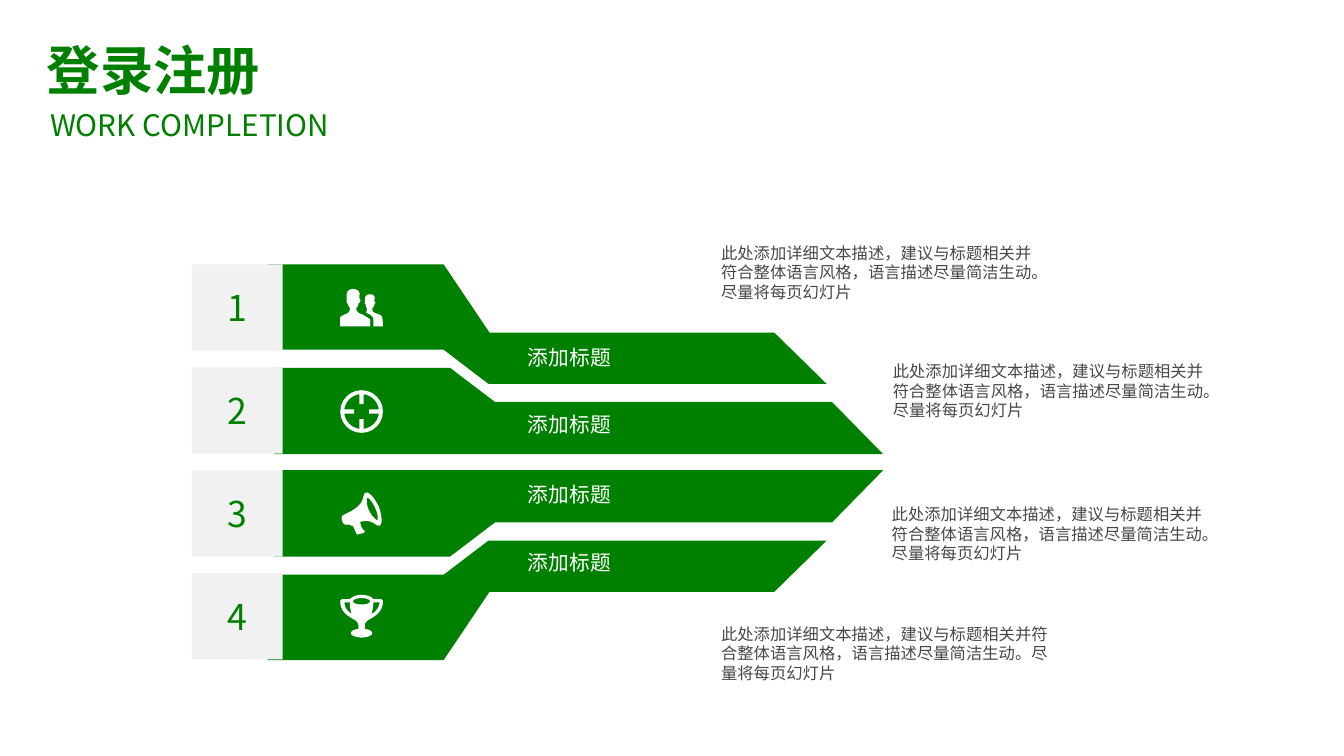
import lxml.etree
import pptx
import pptx.dml.color
import pptx.enum.shapes
import pptx.enum.text
import pptx.oxml.ns
import pptx.util

Inches = pptx.util.Inches
SHAPE = pptx.enum.shapes.MSO_SHAPE
ALIGN = pptx.enum.text.PP_ALIGN
ANCHOR = pptx.enum.text.MSO_ANCHOR

FONT = "Noto Sans CJK SC"
GREEN = "008000"
GREY = "F1F1F1"
WHITE = "FFFFFF"
DARK = "474747"
MIDDLE = 4.335
ICON_LEFT = 3.19

DESCRIPTION = "此处添加详细文本描述，建议与标题相关并符合整体语言风格，语言描述尽量简洁生动。尽量将每页幻灯片"
OUTER_ARROW = [(2.51, 2.48), (4.16, 2.48), (4.59, 3.12), (7.26, 3.12),
               (7.75, 3.6), (4.58, 3.6), (4.16, 3.28), (2.51, 3.28)]
INNER_ARROW = [(2.57, 3.45), (4.22, 3.45), (4.64, 3.77), (7.8, 3.77),
               (8.28, 4.26), (2.57, 4.26)]

PEOPLE = """
M 21 24 C 17 23 15 21 15 18 C 15 17 17 17 17 14 C 17 13 18 14 19 11
C 19 10 18 9 18 9 C 18 9 18 8 18 6 C 19 4 17 0 12 0 C 7 0 6 4 6 6
C 6 8 6 9 6 9 C 6 9 6 10 6 11 C 6 14 7 13 7 14 C 8 17 9 17 9 18
C 9 21 8 23 4 24 C 2 25 0 26 0 27 L 0 35 L 28 35 L 28 29 C 28 28 24 26 21 24
M 40 35 C 40 35 40 27 39 26 C 39 25 37 24 34 23 C 31 22 30 21 30 19
C 30 17 31 18 32 15 C 32 14 32 15 33 13 C 33 12 32 12 32 12
C 32 12 32 11 32 10 C 33 8 32 5 28 5 C 24 5 23 8 23 10 L 23 13
C 23 15 24 14 24 15 C 24 18 25 17 25 19 C 25 20 25 21 24 22
C 30 25 31 26 31 29 L 31 35
"""
MEGAPHONE = """
M 35 26 C 34 26 30 23 27 17 C 24 11 25 5 25 5 C 26 4 30 8 33 15 C 36 21 35 26 35 26
M 36 13 C 32 5 27 -1 24 0 C 19 2 27 11 3 21 C 1 22 1 25 2 27
C 2 29 5 31 7 30 C 8 30 9 30 9 30 C 10 32 12 30 12 32 C 13 33 14 36 15 38
C 15 39 17 40 17 39 C 18 39 21 38 22 38 C 23 37 23 36 23 36
C 22 35 21 35 21 34 C 20 33 19 30 19 29 C 18 28 19 27 21 27
C 31 25 33 32 37 31 C 40 29 39 21 36 13
"""
TROPHY = """
M 4 7 L 9 7 C 9 12 10 16 11 18 C 8 16 4 13 4 7
M 20 3 C 26 3 28 5 28 6 C 28 7 26 9 20 9 C 14 9 12 7 12 6 C 12 5 14 3 20 3
M 29 18 C 30 16 31 12 31 7 L 37 7 C 36 13 33 16 29 18
M 23 29 C 23 26 25 24 29 22 C 34 19 40 15 40 6 C 40 5 39 4 38 4 L 31 4
C 30 2 26 0 20 0 C 14 0 11 2 9 4 L 2 4 C 1 4 0 5 0 6 C 0 15 6 19 11 22
C 15 24 17 26 17 29 L 17 32 C 13 32 10 34 10 36 C 10 38 15 40 20 40
C 25 40 30 38 30 36 C 30 34 27 32 23 32
"""


def rgb(color):
    """Turn a hex string into a colour."""
    return pptx.dml.color.RGBColor.from_string(color)


def paint(sp, color):
    """Give a shape a flat fill without line or shadow."""
    sp.shadow.inherit = False
    sp.fill.solid()
    sp.fill.fore_color.rgb = rgb(color)
    sp.line.fill.background()
    return sp


def write(sp, text, size, color, bold=False, align=ALIGN.LEFT,
          anchor=ANCHOR.TOP, inset=(0, 0)):
    """Put formatted text into a shape."""
    tf = sp.text_frame
    tf.word_wrap = True
    tf.auto_size = pptx.enum.text.MSO_AUTO_SIZE.NONE
    tf.vertical_anchor = anchor
    tf.margin_left = tf.margin_right = Inches(inset[0])
    tf.margin_top = tf.margin_bottom = Inches(inset[1])
    p = tf.paragraphs[0]
    p.alignment = align
    r = p.add_run()
    r.text = text
    r.font.size = pptx.util.Pt(size)
    r.font.bold = bold
    r.font.color.rgb = rgb(color)
    r.font.name = FONT
    ea = lxml.etree.SubElement(r.font._element, pptx.oxml.ns.qn("a:ea"))
    ea.set("typeface", FONT)


def add_text(s, left, top, width, height, text, **fmt):
    """Add a text box."""
    sp = s.shapes.add_textbox(*map(Inches, (left, top, width, height)))
    write(sp, text, **fmt)


def add_box(s, kind, left, top, width, height, color):
    """Add a flat preset shape."""
    return paint(s.shapes.add_shape(
        kind, *map(Inches, (left, top, width, height))), color)


def add_outline(s, contours, color):
    """Add a freeform made of closed contours."""
    contours = [[(Inches(x), Inches(y)) for x, y in c] for c in contours]
    builder = s.shapes.build_freeform(*contours[0][0])
    for i, contour in enumerate(contours):
        if i:
            builder.move_to(*contour[0])
        builder.add_line_segments(contour[1:], close=True)
    paint(builder.convert_to_shape(), color)


def curve(a, b, c, d, steps=8):
    """Sample a cubic curve after its first point."""
    for i in range(1, steps + 1):
        t = i / steps
        u = 1 - t
        yield tuple(u**3 * a[k] + 3 * u * u * t * b[k] + 3 * u * t * t * c[k]
                    + t**3 * d[k] for k in (0, 1))


def add_icon(s, outline, top):
    """Draw an icon whose outline is given in hundredths of an inch."""
    contours = []
    words = iter(outline.split())
    for command in words:
        pts = [(ICON_LEFT + int(next(words)) / 100, top + int(next(words)) / 100)
               for _ in range(3 if command == "C" else 1)]
        if command == "M":
            contours.append(pts)
        elif command == "L":
            contours[-1] += pts
        else:
            contours[-1] += curve(contours[-1][-1], *pts)
    add_outline(s, contours, WHITE)


def add_target(s, top):
    """Draw a ring with four inward ticks."""
    ring = add_box(s, SHAPE.DONUT, ICON_LEFT, top, 0.4, 0.4, WHITE)
    ring.adjustments[0] = 0.09
    for near in (0.02, 0.27):
        add_box(s, SHAPE.RECTANGLE, ICON_LEFT + near, top + 0.18, 0.11, 0.04, WHITE)
        add_box(s, SHAPE.RECTANGLE, ICON_LEFT + 0.18, top + near, 0.04, 0.11, WHITE)


def main():
    """Build the slide."""
    prs = pptx.Presentation()
    prs.slide_width, prs.slide_height = Inches(12.6), Inches(7.09)
    s = prs.slides.add_slide(prs.slide_layouts[5])

    title = s.shapes.title
    title.left, title.top = Inches(0.33), Inches(0.29)
    title.width, title.height = Inches(3.99), Inches(0.72)
    write(title, "登录注册", size=36, color=GREEN, bold=True, inset=(0.11, 0.06))
    add_text(s, 0.47, 1, 3.94, 0.34, "WORK COMPLETION", size=20, color=GREEN)

    for arrow in (OUTER_ARROW, INNER_ARROW):
        add_outline(s, [arrow], GREEN)
        add_outline(s, [[(x, 2 * MIDDLE - y) for x, y in arrow]], GREEN)

    for i in range(4):
        box = add_box(s, SHAPE.RECTANGLE, 1.8, 2.48 + 0.965 * i, 0.85, 0.81, GREY)
        write(box, str(i + 1), size=24, color=GREEN, align=ALIGN.CENTER,
              anchor=ANCHOR.MIDDLE, inset=(0, 0.05))

    add_icon(s, PEOPLE, 2.71)
    add_target(s, 3.66)
    add_icon(s, MEGAPHONE, 4.62)
    add_icon(s, TROPHY, 5.58)

    for top in (3.23, 3.86, 4.52, 5.16):
        add_text(s, 4.95, top, 2.01, 0.24, "添加标题", size=14, color=WHITE)
    for left, top, width in ((6.76, 2.28, 3.05), (8.37, 3.39, 3.05),
                             (8.36, 4.73, 3.05), (6.76, 5.85, 3.08)):
        add_text(s, left, top, width, 0.56, DESCRIPTION, size=11, color=DARK)

    prs.save("out.pptx")


if __name__ == "__main__":
    main()
